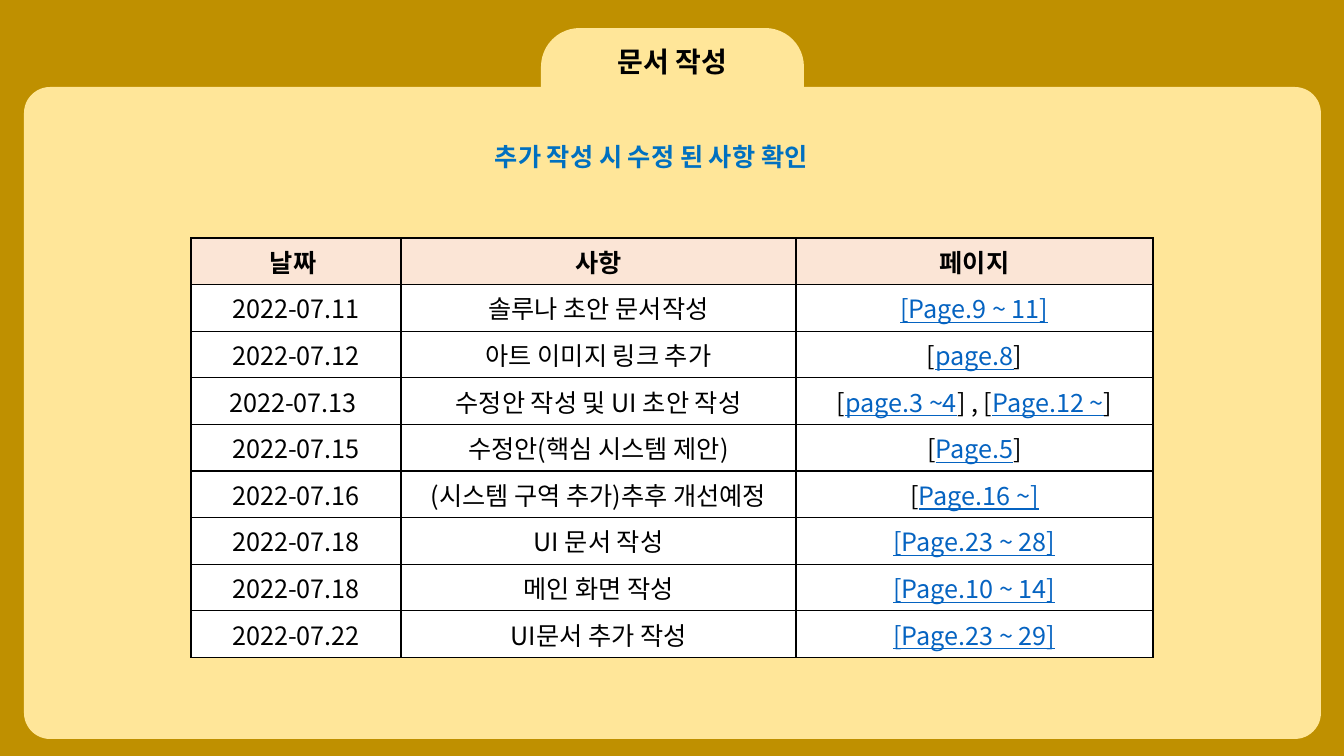
from dataclasses import dataclass

from lxml import etree
from pptx import Presentation
from pptx.dml.color import RGBColor
from pptx.enum.shapes import MSO_SHAPE
from pptx.enum.text import MSO_ANCHOR, MSO_AUTO_SIZE, PP_ALIGN
from pptx.oxml.ns import qn
from pptx.util import Emu, Pt

ROUND = MSO_SHAPE.ROUNDED_RECTANGLE
MIDDLE = MSO_ANCHOR.MIDDLE
CENTER, LEFT = PP_ALIGN.CENTER, PP_ALIGN.LEFT
FONT = "Noto Sans CJK KR"
COLORS = {
    "back": "BF9000", "folder": "FFE699", "head": "FBE5D6", "cell": "FFFFFF",
    "text": "000000", "link": "0563C1", "note": "0070C0",
}


@dataclass
class Box:
    left: int
    top: int
    width: int
    height: int
    bend: float = 0


@dataclass
class Run:
    text: str
    color: str = "text"
    bold: bool = False
    line: bool = False
    size: int = 18


@dataclass
class Entry:
    date: str
    item: str
    pages: list[Run]


def px(count: int) -> Emu:
    return Emu(round(count * 12192000 / 1344))


def rgb(name: str) -> RGBColor:
    return RGBColor.from_string(COLORS[name])


def place(box: Box) -> tuple[Emu, Emu, Emu, Emu]:
    return px(box.left), px(box.top), px(box.width), px(box.height)


def link(text: str) -> Run:
    return Run(text, "link", line=True)


def write(frame, runs: list[Run], align=CENTER) -> None:
    para = frame.paragraphs[0]
    para.alignment = align
    for item in runs:
        run = para.add_run()
        run.text = item.text
        font = run.font
        font.size, font.bold, font.underline = Pt(item.size), item.bold, item.line
        font.color.rgb = rgb(item.color)
        font.name = FONT
        etree.SubElement(font._element, qn("a:ea"), typeface=FONT)


def draw(slide, box: Box) -> None:
    shape = slide.shapes.add_shape(ROUND, *place(box))
    shape.adjustments[0] = box.bend
    shape.shadow.inherit = False
    shape.fill.solid()
    shape.fill.fore_color.rgb = rgb("folder")
    shape.line.fill.background()


def border(cell) -> None:
    props = cell._tc.get_or_add_tcPr()
    for spot, side in enumerate(("lnL", "lnR", "lnT", "lnB")):
        edge = etree.Element(qn(f"a:{side}"), w=str(Pt(1)))
        fill = etree.SubElement(edge, qn("a:solidFill"))
        etree.SubElement(fill, qn("a:srgbClr"), val=COLORS["text"])
        props.insert(spot, edge)


def put(cell, runs: list[Run], fill: str) -> None:
    cell.fill.solid()
    cell.fill.fore_color.rgb = rgb(fill)
    cell.vertical_anchor = MIDDLE
    border(cell)
    write(cell.text_frame, runs)


TAB = Box(541, 28, 263, 129, 0.3)
FOLDER = Box(24, 87, 1297, 652, 0.04)
TITLE = Box(541, 28, 263, 66)
NOTE = Box(485, 136, 376, 40)
GRID = Box(191, 238, 962, 369)
WIDTHS = [210, 395, 357]
HEADS = ["날짜 ", "사항", "페이지"]
ENTRIES = [
    Entry("2022-07.11", "솔루나 초안 문서작성", [link("[Page.9 ~ 11]")]),
    Entry("2022-07.12", "아트 이미지 링크 추가", [Run("["), link("page.8"), Run("]")]),
    Entry("2022-07.13 ", "수정안 작성 및 UI 초안 작성",
          [Run("["), link("page.3 ~4"), Run("] , ["), link("Page.12 ~"), Run("]")]),
    Entry("2022-07.15", "수정안(핵심 시스템 제안)", [Run("["), link("Page.5"), Run("]")]),
    Entry("2022-07.16", "(시스템 구역 추가)추후 개선예정", [Run("["), link("Page.16 ~]")]),
    Entry("2022-07.18", "UI 문서 작성", [link("[Page.23 ~ 28]")]),
    Entry("2022-07.18", "메인 화면 작성", [link("[Page.10 ~ 14]")]),
    Entry("2022-07.22", "UI문서 추가 작성", [link("[Page.23 ~ 29]")]),
]


def main() -> None:
    deck = Presentation()
    deck.slide_width, deck.slide_height = px(1344), px(756)
    slide = deck.slides.add_slide(deck.slide_layouts[5])
    slide.background.fill.solid()
    slide.background.fill.fore_color.rgb = rgb("back")

    # Folder with its tab
    for box in (TAB, FOLDER):
        draw(slide, box)

    # Title, raised above the tab
    title = slide.shapes.title
    title.left, title.top, title.width, title.height = place(TITLE)
    frame = title.text_frame
    frame.auto_size = MSO_AUTO_SIZE.NONE
    frame.vertical_anchor = MIDDLE
    frame.margin_top = frame.margin_bottom = 0
    write(frame, [Run("문서 작성", bold=True, size=20)])
    slide.shapes._spTree.append(title._element)

    # Change log
    rows = [[[Run(head, bold=True)] for head in HEADS]]
    rows += [[[Run(entry.date)], [Run(entry.item)], entry.pages] for entry in ENTRIES]
    table = slide.shapes.add_table(len(rows), len(HEADS), *place(GRID)).table
    table.first_row = table.horz_banding = False
    for col, width in zip(table.columns, WIDTHS):
        col.width = px(width)
    for r, row in enumerate(rows):
        for c, runs in enumerate(row):
            put(table.cell(r, c), runs, "cell" if r else "head")

    # Note above the table
    note = slide.shapes.add_textbox(*place(NOTE)).text_frame
    note.word_wrap = True
    note.auto_size = MSO_AUTO_SIZE.SHAPE_TO_FIT_TEXT
    write(note, [Run("추가 작성 시 수정 된 사항 확인", "note", bold=True)], LEFT)

    deck.save("out.pptx")


if __name__ == "__main__":
    main()
